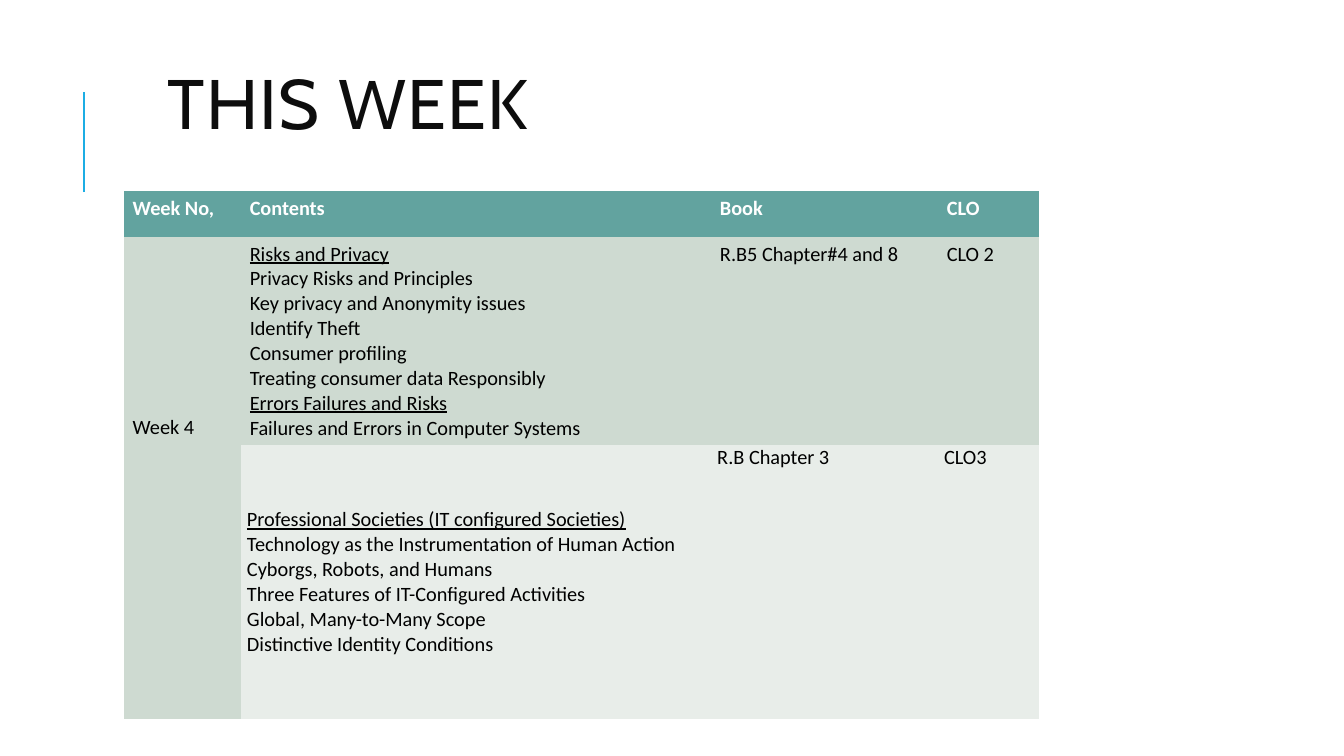
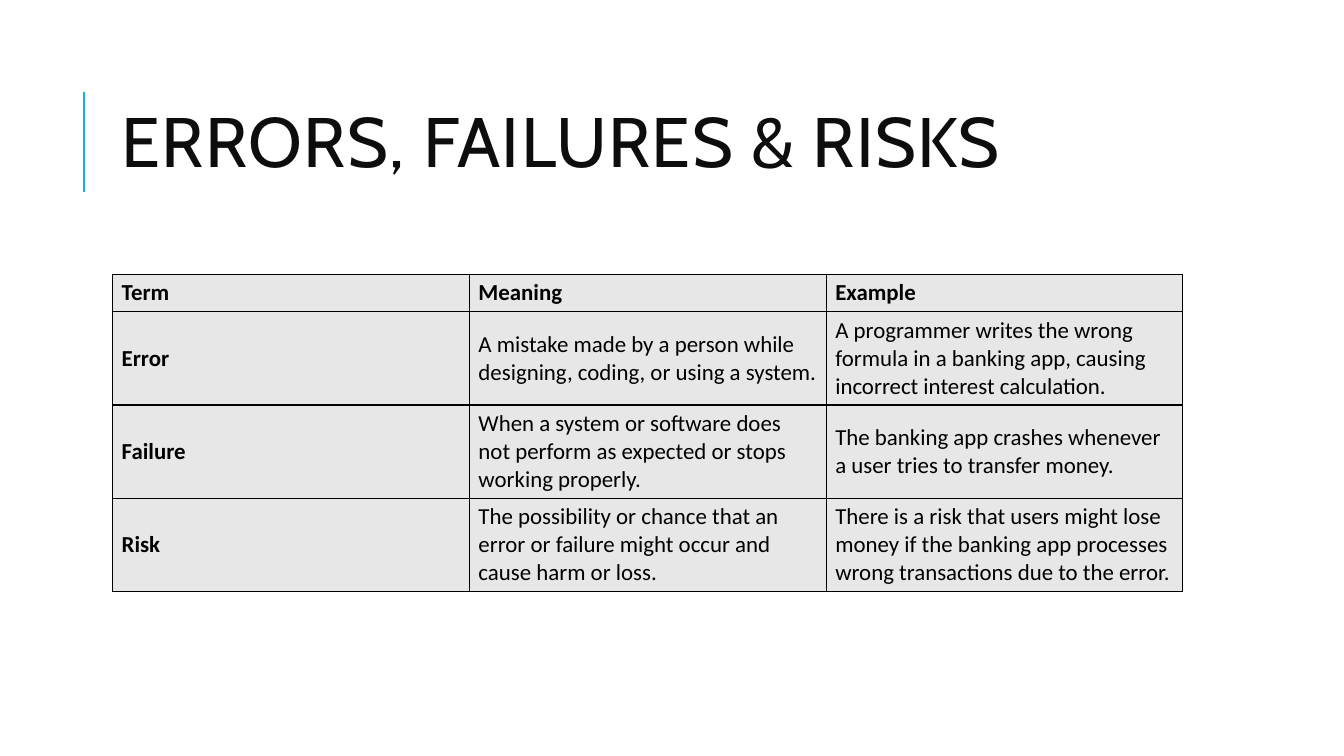
from dataclasses import dataclass

from lxml.etree import SubElement
from pptx import Presentation
from pptx.dml.color import RGBColor
from pptx.enum.shapes import MSO_CONNECTOR
from pptx.enum.text import MSO_ANCHOR, PP_ALIGN
from pptx.oxml.ns import qn
from pptx.util import Pt

PX = 9144  # EMU per px, 100 px to the inch
SLIDE_SIZE = (1469, 826)
NO_TABLE_STYLE = "{2D5ABB26-0587-4C30-8999-92F81FD0307C}"


@dataclass(frozen=True)
class Theme:
    title_font: str = "Cabin"
    body_font: str = "Calibri"
    title_size: float = 55.1
    title_tracking: float = 1.1
    schedule_size: int = 16
    terms_size: int = 18
    accent: str = "1CADE4"
    title: str = "0D0D0D"
    text: str = "000000"
    header_text: str = "FFFFFF"
    header_fill: str = "62A39F"
    first_band: str = "CEDAD1"
    second_band: str = "E8EDE9"
    terms_fill: str = "E7E7E7"


THEME = Theme()
ACCENT_LINE = (92, 210, 92, 100)

WEEK_TITLE = "THIS WEEK"
WEEK_TITLE_BOX = (173, 28, 1028, 182)
WEEK_ORIGIN = (135, 209)
WEEK_COLUMNS = (128, 514, 248, 111)
WEEK_ROWS = (50, 227, 299)
WEEK_LABEL_TOP = 195
SECTION_TITLES = {
    "Risks and Privacy",
    "Errors Failures and Risks",
    "Professional Societies (IT configured Societies)",
}
SCHEDULE = [
    [["Week No,"], ["Contents"], ["Book"], ["CLO"]],
    [
        ["Week 4"],
        [
            "Risks and Privacy",
            "Privacy Risks and Principles",
            "Key privacy and Anonymity issues",
            "Identify Theft",
            "Consumer profiling",
            "Treating consumer data Responsibly",
            "Errors Failures and Risks",
            "Failures and Errors in Computer Systems",
        ],
        ["R.B5 Chapter#4 and 8"],
        ["CLO 2"],
    ],
    [
        [],
        [
            "Professional Societies (IT configured Societies)",
            "Technology as the Instrumentation of Human Action",
            "Cyborgs, Robots, and Humans",
            "Three Features of IT-Configured Activities",
            "Global, Many-to-Many Scope",
            "Distinctive Identity Conditions",
        ],
        ["R.B Chapter 3"],
        ["CLO3"],
    ],
]

TERMS_TITLE = "ERRORS, FAILURES & RISKS"
TERMS_TITLE_BOX = (123, 71, 1171, 181)
TERMS_ORIGIN = (123, 300)
TERMS_COLUMNS = (390,) * 3
TERMS_ROWS = (40, 102, 102, 102)
TERMS = [
    ("Term", "Meaning", "Example"),
    (
        "Error",
        "A mistake made by a person while designing, coding, or using a system.",
        "A programmer writes the wrong formula in a banking app, causing incorrect interest calculation.",
    ),
    (
        "Failure",
        "When a system or software does not perform as expected or stops working properly.",
        "The banking app crashes whenever a user tries to transfer money.",
    ),
    (
        "Risk",
        "The possibility or chance that an error or failure might occur and cause harm or loss.",
        "There is a risk that users might lose money if the banking app processes wrong transactions due to the error.",
    ),
]


def emu(lengths):
    return [length * PX for length in lengths]


def write_text(frame, lines, *, size, font=THEME.body_font, color=THEME.text,
               bold=False, underlined=(), tracking=0, line_spacing=1.0):
    """Fill a text frame, one paragraph a line; lines in underlined get a rule."""
    frame.word_wrap = True
    for index, line in enumerate(lines):
        paragraph = frame.paragraphs[0] if index == 0 else frame.add_paragraph()
        paragraph.alignment = PP_ALIGN.LEFT
        paragraph.line_spacing = line_spacing
        run = paragraph.add_run()
        run.text = line
        run.font.name = font
        run.font.size = Pt(size)
        run.font.bold = bold
        run.font.underline = line in underlined
        run.font.color.rgb = RGBColor.from_string(color)
        if tracking:
            run.font._element.set("spc", str(round(tracking * 100)))


def add_titled_slide(presentation, layout, title, box):
    slide = presentation.slides.add_slide(layout)
    placeholder = slide.shapes.title
    placeholder.left, placeholder.top, placeholder.width, placeholder.height = emu(box)
    placeholder.text_frame.vertical_anchor = MSO_ANCHOR.MIDDLE
    write_text(placeholder.text_frame, [title], size=THEME.title_size,
               font=THEME.title_font, color=THEME.title,
               tracking=THEME.title_tracking, line_spacing=0.8)
    return slide


def add_accent_line(slide, layout):
    """Draw the accent line and hand it to the layout, so every slide shows it."""
    line = slide.shapes.add_connector(MSO_CONNECTOR.STRAIGHT, *emu(ACCENT_LINE))
    line.line.color.rgb = RGBColor.from_string(THEME.accent)
    line.line.width = Pt(1.5)
    SubElement(line.element.spPr, qn("a:effectLst"))
    line.element.nvCxnSpPr.cNvPr.set("id", "20")
    layout.shapes.element.append(line.element)


def add_plain_table(slide, origin, columns, rows):
    frame = slide.shapes.add_table(
        len(rows), len(columns), *emu((*origin, sum(columns), sum(rows))))
    table = frame.table
    table.first_row = table.horz_banding = False
    next(frame.element.iter(qn("a:tableStyleId"))).text = NO_TABLE_STYLE
    for column, width in zip(table.columns, columns):
        column.width = width * PX
    for row, height in zip(table.rows, rows):
        row.height = height * PX
    return table


def fill_cell(cell, color):
    cell.fill.solid()
    cell.fill.fore_color.rgb = RGBColor.from_string(color)


def add_borders(cell, color, width):
    properties = cell._tc.get_or_add_tcPr()
    for index, side in enumerate(("lnL", "lnR", "lnT", "lnB")):
        border = properties.makeelement(qn(f"a:{side}"), {"w": str(Pt(width))})
        fill = SubElement(border, qn("a:solidFill"))
        SubElement(fill, qn("a:srgbClr"), val=color)
        properties.insert(index, border)


def build_week(slide):
    table = add_plain_table(slide, WEEK_ORIGIN, WEEK_COLUMNS, WEEK_ROWS)
    table.cell(1, 0).merge(table.cell(2, 0))
    bands = (THEME.header_fill, THEME.first_band, THEME.second_band)
    for row, (cells, band) in enumerate(zip(SCHEDULE, bands)):
        header = row == 0
        for column, lines in enumerate(cells):
            cell = table.cell(row, column)
            fill_cell(cell, band)
            if row == 2:
                cell.margin_left = cell.margin_right = 7 * PX
                cell.margin_top = cell.margin_bottom = 0
            write_text(cell.text_frame, lines, size=THEME.schedule_size, bold=header,
                       color=THEME.header_text if header else THEME.text,
                       underlined=SECTION_TITLES)
    table.cell(1, 0).margin_top = WEEK_LABEL_TOP * PX
    table.cell(2, 1).vertical_anchor = MSO_ANCHOR.MIDDLE


def build_terms(slide):
    table = add_plain_table(slide, TERMS_ORIGIN, TERMS_COLUMNS, TERMS_ROWS)
    for row, texts in enumerate(TERMS):
        for column, text in enumerate(texts):
            cell = table.cell(row, column)
            fill_cell(cell, THEME.terms_fill)
            add_borders(cell, THEME.text, 1)
            cell.vertical_anchor = MSO_ANCHOR.MIDDLE
            write_text(cell.text_frame, [text], size=THEME.terms_size,
                       bold=row == 0 or column == 0)


def main():
    presentation = Presentation()
    presentation.slide_width, presentation.slide_height = emu(SLIDE_SIZE)
    layout = presentation.slide_layouts.get_by_name("Title Only")
    week = add_titled_slide(presentation, layout, WEEK_TITLE, WEEK_TITLE_BOX)
    add_accent_line(week, layout)
    build_week(week)
    build_terms(add_titled_slide(presentation, layout, TERMS_TITLE, TERMS_TITLE_BOX))
    presentation.save("out.pptx")


if __name__ == "__main__":
    main()
